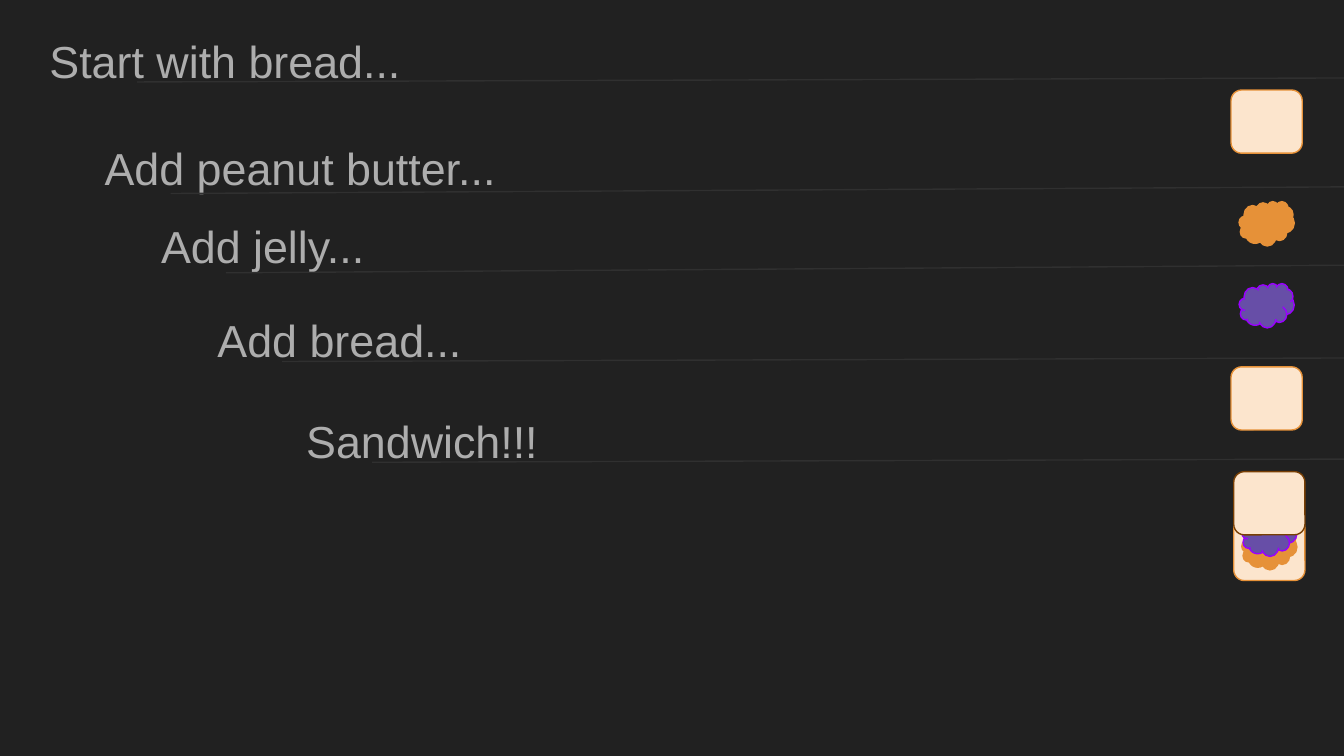
from pptx import Presentation, util as u
from pptx.dml.color import RGBColor
from pptx.enum import shapes, text
from pptx.oxml.ns import qn
from lxml import etree

COLORS = {"bg": "212121", "text": "ADADAD", "rule": "303030",
          "bread": "FCE5CD", "crust": "E69138", "dark_crust": "783F04",
          "peanut": "E69138", "jelly": "674EA7", "jelly_edge": "9900FF"}
COLS, ROWS = 100, 56.25  # square grid cells over a 16:9 slide
BREAD_SIZE, SPREAD_SIZE = (5.3, 4.7), (4.1, 3.3)


class Deck:
    """Holds the style and the current slide; lengths are grid columns and rows."""

    def __init__(self):
        self.prs = Presentation()
        self.prs.slide_width = u.Inches(10)
        self.prs.slide_height = self.prs.slide_width * 9 // 16
        self.s = self.prs.slides.add_slide(self.prs.slide_layouts[6])
        self.font, self.size, self.weight = "Arial", u.Pt(24), u.Pt(0.75)
        fill = self.s.background.fill
        fill.solid()
        fill.fore_color.rgb = self.color("bg")

    def color(self, name):
        return RGBColor.from_string(COLORS[name])

    def x(self, cols):
        return round(self.prs.slide_width * cols / COLS)

    def y(self, rows):
        return round(self.prs.slide_height * rows / ROWS)

    def label(self, words, left, top, width, height=5.2):
        sp = self.s.shapes.add_textbox(self.x(left), self.y(top), self.x(width), self.y(height))
        tf = sp.text_frame
        tf.word_wrap = True
        tf.vertical_anchor = text.MSO_ANCHOR.TOP
        tf.margin_left = tf.margin_right = tf.margin_top = tf.margin_bottom = u.Inches(0.1)
        p = tf.paragraphs[0]
        p.line_spacing, p.space_after = 1.15, u.Pt(16)
        r = p.add_run()
        r.text = words
        r.font.name, r.font.size = self.font, self.size
        r.font.color.rgb = self.color("text")

    def rule(self, x1, y1, x2, y2):
        line = self.s.shapes.add_connector(shapes.MSO_CONNECTOR.STRAIGHT,
                                           self.x(x1), self.y(y1), self.x(x2), self.y(y2))
        line.line.color.rgb = self.color("rule")
        line.line.width = self.weight
        etree.SubElement(line._element.spPr, qn("a:effectLst"))

    def shape(self, kind, left, top, size, fill, edge, parent=None):
        sp = (parent or self.s).shapes.add_shape(kind, self.x(left), self.y(top),
                                                 self.x(size[0]), self.y(size[1]))
        sp.shadow.inherit = False
        sp.fill.solid()
        sp.fill.fore_color.rgb = self.color(fill)
        sp.line.color.rgb = self.color(edge)
        sp.line.width = self.weight

    def bread(self, left, top, edge="crust", parent=None):
        self.shape(shapes.MSO_SHAPE.ROUNDED_RECTANGLE, left, top, BREAD_SIZE, "bread", edge, parent)

    def peanut_butter(self, left, top, parent=None):
        self.shape(shapes.MSO_SHAPE.CLOUD, left, top, SPREAD_SIZE, "peanut", "peanut", parent)

    def jelly(self, left, top, parent=None):
        self.shape(shapes.MSO_SHAPE.CLOUD, left, top, SPREAD_SIZE, "jelly", "jelly_edge", parent)

    def sandwich(self, left, top):
        group = self.s.shapes.add_group_shape()
        self.bread(left, top + 3.4, parent=group)
        self.peanut_butter(left + 0.6, top + 4, group)
        self.jelly(left + 0.6, top + 3, group)
        self.bread(left, top, "dark_crust", group)


deck = Deck()

# Steps: words, label place and width, rule ends, ingredient and its place
STEPS = [
    ("Start with bread...", (2.7, 0.9, 30.7), (10.2, 6.1, 100.7, 5.8), deck.bread, (91.6, 6.7)),
    ("Add peanut butter...", (6.8, 8.9, 42.8), (12.7, 14.4, 101.1, 13.9), deck.peanut_butter, (92.2, 15)),
    ("Add jelly...", (11, 14.7, 30.7), (16.8, 20.3, 105.3, 19.7), deck.jelly, (92.2, 21.1)),
    ("Add bread...", (15.2, 21.7, 30.7), (21, 26.9, 111.6, 26.6), deck.bread, (91.6, 27.3)),
    ("Sandwich!!!", (21.8, 29.2, 30.7), (27.7, 34.4, 118.2, 34.1), deck.sandwich, (91.8, 35.1)),
]
for words, box, ends, ingredient, place in STEPS:
    deck.label(words, *box)
    ingredient(*place)
    deck.rule(*ends)

deck.prs.save("out.pptx")
